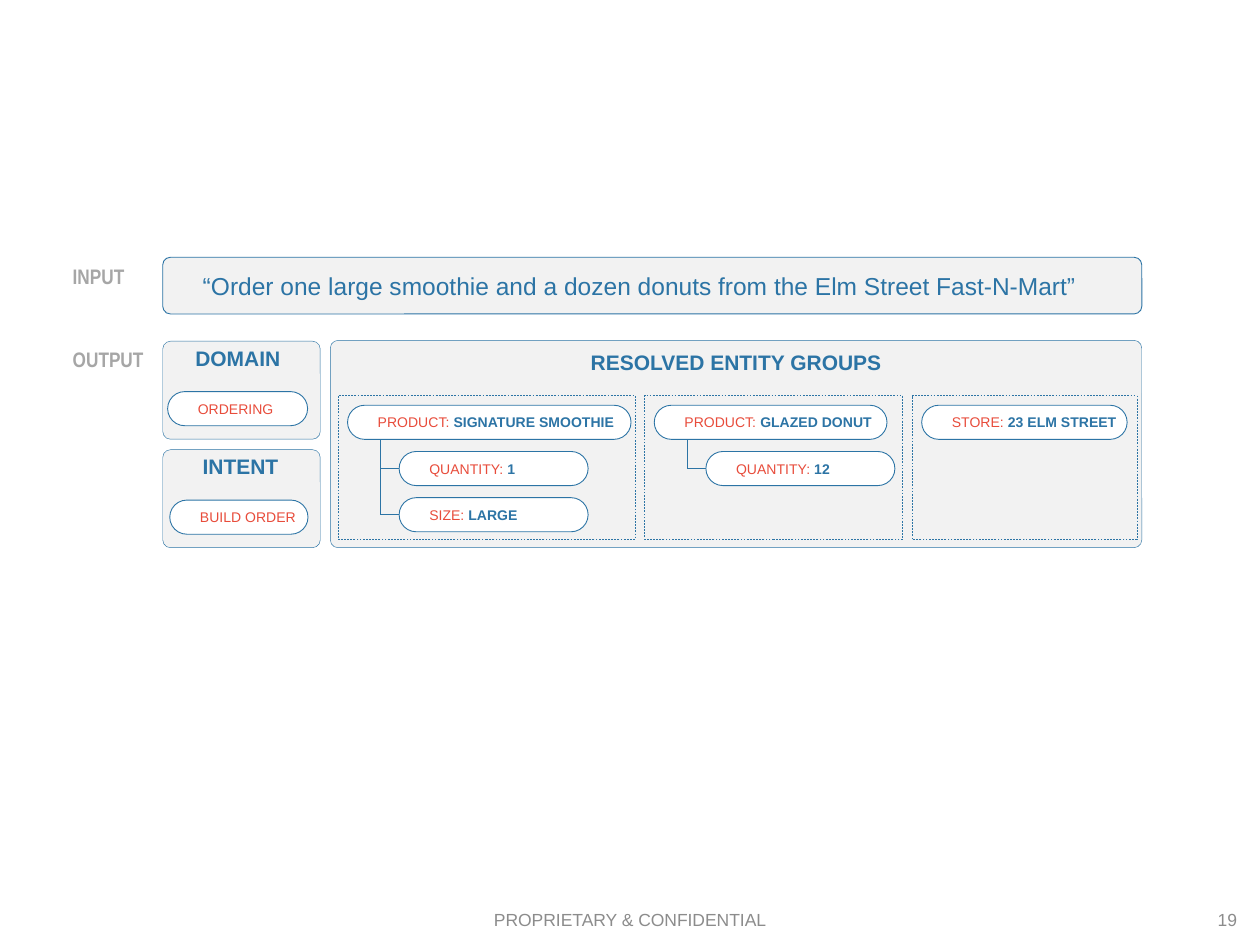
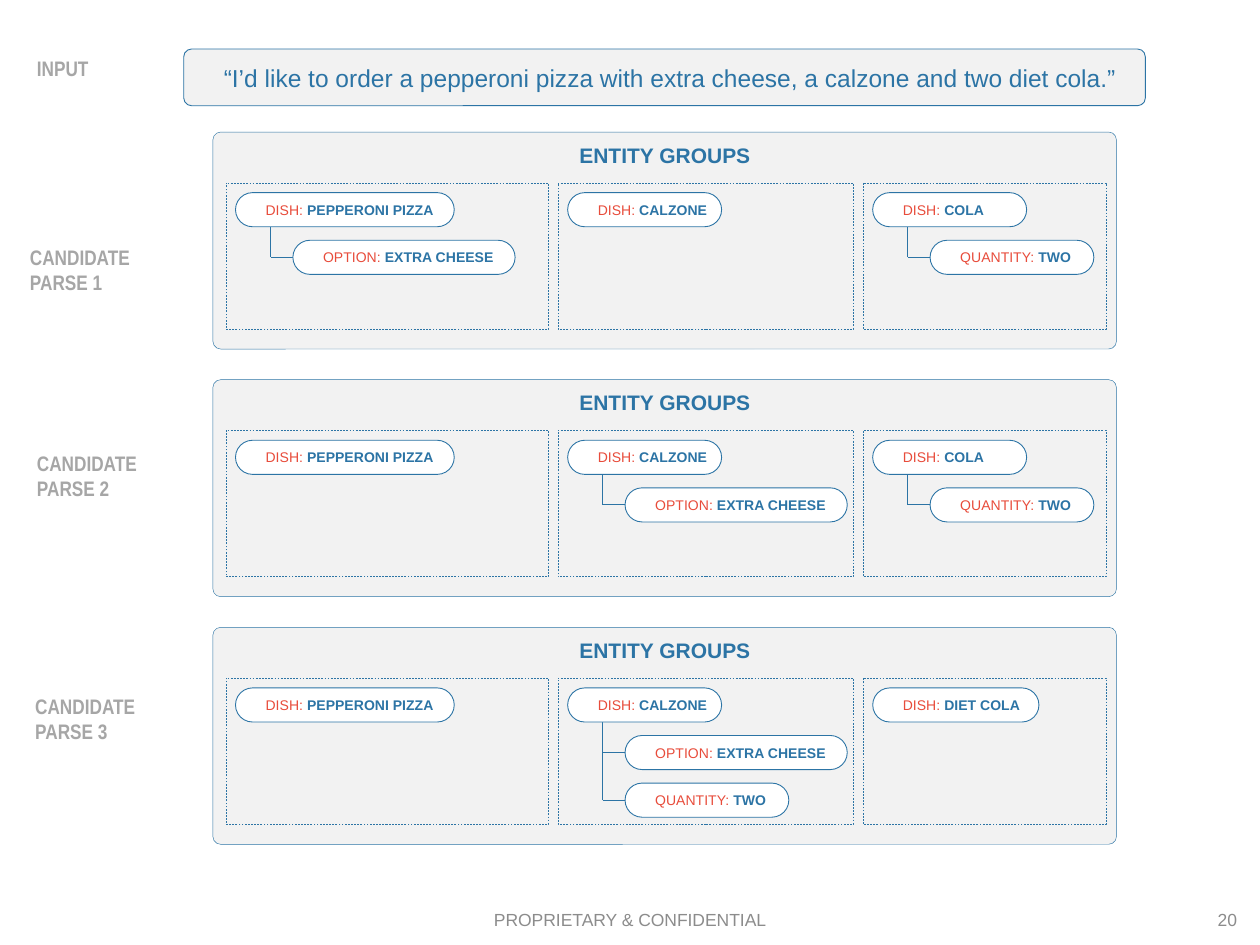
from lxml import etree
from pptx import Presentation
from pptx.dml.color import RGBColor as Rgb
from pptx.enum.dml import MSO_LINE as Dash
from pptx.enum.shapes import MSO_CONNECTOR as Conn, MSO_SHAPE as Kind
from pptx.enum.text import MSO_ANCHOR as Anchor, MSO_AUTO_SIZE as Fit, PP_ALIGN as Align
from pptx.oxml.ns import qn
from pptx.util import Pt

COLORS = {"blue": "2C74A5", "red": "E84C3B", "panel": "F2F2F2",
          "white": "FFFFFF", "label": "A6A6A6", "footer": "8C8C8C"}
PILL = 19.5    # pill height
GAP = 5.3      # space between entity groups
INSET = 5.6    # from a group's edge to its root pill
RADIUS = 4.4   # corner of panels
STEP = 141.5   # distance between candidate panels


def tint(name):
    return Rgb.from_string(COLORS[name])


# Text
def write(para, text, size=12, color="blue", bold=False, font="Arial"):
    run = para.add_run()
    run.text = text
    run.font.name, run.font.size, run.font.bold = font, Pt(size), bold
    run.font.color.rgb = tint(color)


def pad(frame, left, right):
    frame.margin_left, frame.margin_right = Pt(left), Pt(right)
    frame.margin_top = frame.margin_bottom = Pt(3.6)
    frame.vertical_anchor = Anchor.MIDDLE


def note(slide, text, x, y, w, h=21.6, align=Align.LEFT, wrap=False, **style):
    frame = slide.shapes.add_textbox(Pt(x), Pt(y), Pt(w), Pt(h)).text_frame
    pad(frame, 7.2, 7.2)
    frame.word_wrap = wrap
    frame.auto_size = Fit.NONE if wrap else Fit.SHAPE_TO_FIT_TEXT
    for i, line in enumerate(text.split("\n")):
        para = frame.add_paragraph() if i else frame.paragraphs[0]
        para.alignment = align
        write(para, line, **style)


def label(slide, text, x, y, w, h=21.6):
    note(slide, text, x, y, w, h, color="label", bold=True, font="Arial Narrow")


def footer(slide, number):
    note(slide, "PROPRIETARY & CONFIDENTIAL", 246, 511, 228, 29,
         Align.CENTER, True, size=10, color="footer")
    note(slide, str(number), 546, 511, 168, 29,
         Align.RIGHT, True, size=10, color="footer")


# Shapes
def block(slide, x, y, w, h, fill=None, line=0.25, radius=0):
    kind = Kind.ROUNDED_RECTANGLE if radius else Kind.RECTANGLE
    shape = slide.shapes.add_shape(kind, Pt(x), Pt(y), Pt(w), Pt(h))
    shape.shadow.inherit = False
    if radius:
        shape.adjustments[0] = radius / min(w, h)
    if fill:
        shape.fill.solid()
        shape.fill.fore_color.rgb = tint(fill)
    else:
        shape.fill.background()
    shape.line.color.rgb = tint("blue")
    shape.line.width = Pt(line)
    return shape


def panel(slide, x, y, w, h):
    block(slide, x, y, w, h, "panel", radius=RADIUS)


def quote(slide, text, x, y, w):
    frame = block(slide, x, y, w, 32.4, "panel", 0.5, RADIUS).text_frame
    pad(frame, 21.6, 7.2)
    frame.word_wrap = True
    para = frame.paragraphs[0]
    para.alignment = Align.LEFT
    write(para, text, size=14)


def pill(slide, x, y, w, key, value=""):
    frame = block(slide, x, y, w, PILL, "white", 0.5, PILL / 2).text_frame
    pad(frame, 14.4, 2.9)
    frame.word_wrap = True
    para = frame.paragraphs[0]
    para.alignment = Align.LEFT
    write(para, f"{key}: " if value else key, size=8, color="red")
    if value:
        write(para, value, size=8, bold=True)


def link(slide, x1, y1, x2, y2):
    line = slide.shapes.add_connector(Conn.STRAIGHT, Pt(x1), Pt(y1), Pt(x2), Pt(y2))
    line.line.color.rgb = tint("blue")
    line.line.width = Pt(0.5)
    etree.SubElement(line._element.spPr, qn("a:effectLst"))


# Entity groups: each is a width, a root pill and its child pills
def tree(slide, x, y, root, kids, stem, indent, drop):
    mids = [y + drop * i + PILL / 2 for i in range(1, len(kids) + 1)]
    if mids:
        link(slide, x + stem, y + PILL, x + stem, mids[-1])
    for mid, kid in zip(mids, kids):
        link(slide, x + stem, mid, x + indent, mid)
        pill(slide, x + indent, mid - PILL / 2, *kid)
    pill(slide, x, y, *root)


def groups(slide, x, y, h, items, **shape):
    for width, root, *kids in items:
        block(slide, x, y, width, h).line.dash_style = Dash.DASH
        tree(slide, x + INSET, y + INSET, root, kids, **shape)
        x += width + GAP


# Slides
def order(slide):
    label(slide, "INPUT", 34.5, 147, 45)
    quote(slide, "“Order one large smoothie and a dozen donuts from "
                 "the Elm Street Fast-N-Mart”", 93, 147, 559.5)
    label(slide, "OUTPUT", 34.5, 194.5, 55.5)

    cards = [("DOMAIN", 104.5, 63.5, "ORDERING", 95.8, 80),
             ("INTENT", 108.7, 58.5, "BUILD ORDER", 97, 79)]
    for i, (head, left, width, value, start, span) in enumerate(cards):
        y = 195 + 62 * i
        panel(slide, 93, y, 90, 56)
        note(slide, head, left, y - 1.3, width, bold=True)
        pill(slide, start, y + 28.8, span, value)

    panel(slide, 188.8, 194.5, 463.7, 118.5)
    note(slide, "RESOLVED ENTITY GROUPS", 330.5, 196, 183, bold=True)
    items = [
        (170, (162, "PRODUCT", "SIGNATURE SMOOTHIE"),
         (108, "QUANTITY", "1"), (108, "SIZE", "LARGE")),
        (147.5, (133, "PRODUCT", "GLAZED DONUT"), (108, "QUANTITY", "12")),
        (128.5, (117.4, "STORE", "23 ELM STREET")),
    ]
    groups(slide, 193, 226, 82.3, items, stem=18.8, indent=29.5, drop=26.4)


def parses(slide):
    label(slide, "INPUT", 14, 28, 48)
    quote(slide, "“I’d like to order a pepperoni pizza with extra cheese, "
                 "a calzone and two diet cola.”", 105, 28, 549.5)

    pizza = (125, "DISH", "PEPPERONI PIZZA")
    calzone = (88, "DISH", "CALZONE")
    cola = (88, "DISH", "COLA")
    diet = (95, "DISH", "DIET COLA")
    cheese = (127, "OPTION", "EXTRA CHEESE")
    two = (93.6, "QUANTITY", "TWO")
    rows = [
        (10, 136, [(pizza, cheese), (calzone,), (cola, two)]),
        (14, 254, [(pizza,), (calzone, cheese), (cola, two)]),
        (13, 392.5, [(pizza,), (calzone, cheese, two), (diet,)]),
    ]
    widths = (184.5, 169, 139)
    for i, (left, top, trees) in enumerate(rows):
        y = 75.5 + STEP * i
        label(slide, f"CANDIDATE\nPARSE {i + 1}", left, top, 73, 36)
        panel(slide, 121.7, y, 516.3, 124)
        note(slide, "ENTITY GROUPS", 324, y + 2.2, 114, bold=True)
        items = [(width, *pills) for width, pills in zip(widths, trees)]
        groups(slide, 129, y + 29, 83.5, items, stem=20, indent=32.8, drop=27.2)


def main():
    deck = Presentation()
    deck.slide_width, deck.slide_height = Pt(720), Pt(540)
    for number, draw in enumerate((order, parses), 19):
        slide = deck.slides.add_slide(deck.slide_layouts[6])
        footer(slide, number)
        draw(slide)
    deck.save("out.pptx")


if __name__ == "__main__":
    main()
